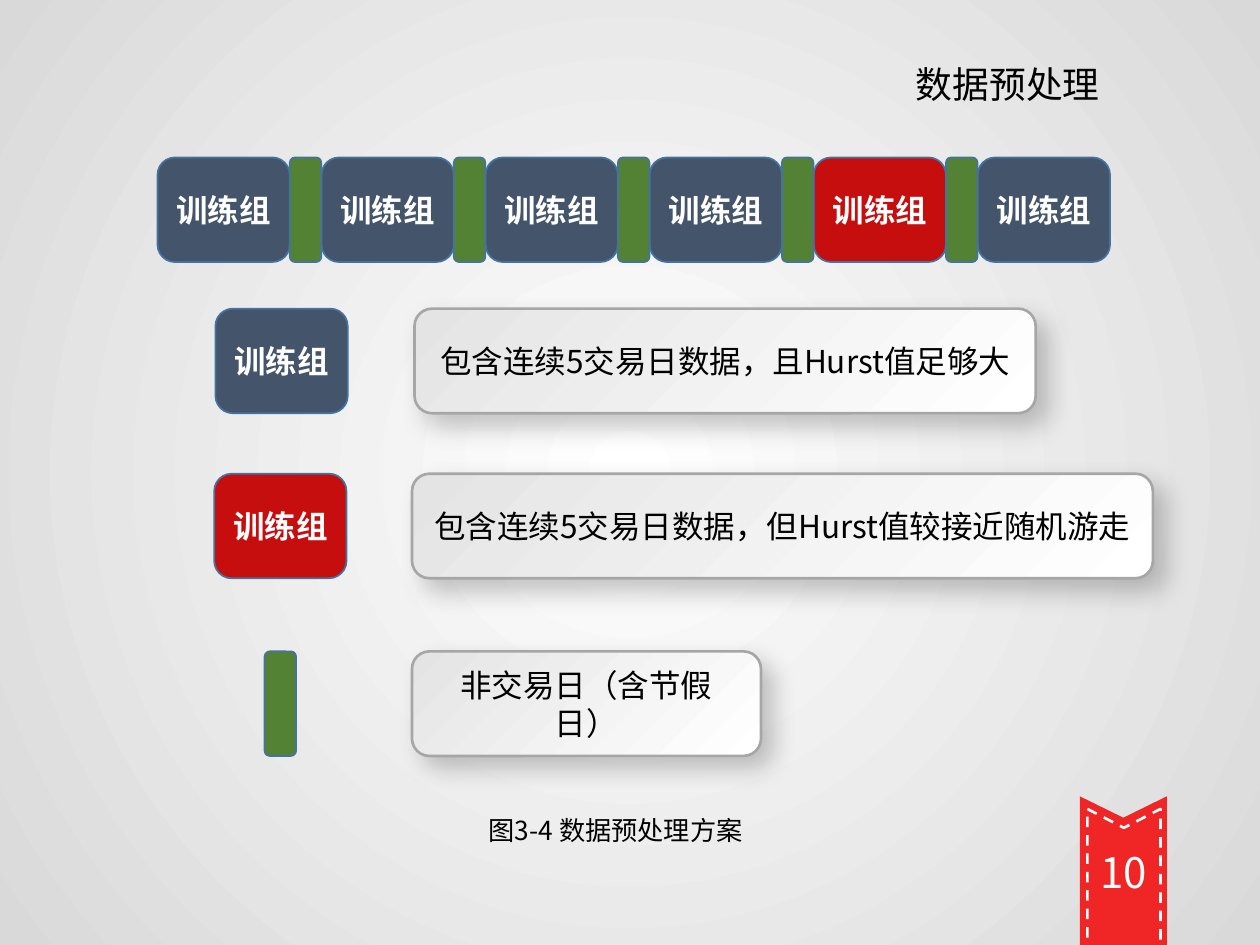
from dataclasses import dataclass

from lxml import etree
from pptx import Presentation
from pptx import util as u
from pptx.dml.color import RGBColor
from pptx.enum import dml, shapes, text
from pptx.oxml import parse_xml
from pptx.oxml.ns import nsdecls, qn

WIDE, HIGH = 10, 7.5
FONT = "Noto Sans CJK SC"
NAVY = RGBColor(0x44, 0x54, 0x6A)
RED = RGBColor(0xC6, 0x0E, 0x0E)
GREEN = RGBColor(0x54, 0x82, 0x35)
EDGE = RGBColor(0x43, 0x73, 0x9E)
GRAY = RGBColor(0xA6, 0xA6, 0xA6)
PALE = RGBColor(0xE4, 0xE4, 0xE4)
DIM = RGBColor(0xD9, 0xD9, 0xD9)
RIBBON = RGBColor(0xF0, 0x25, 0x25)
WHITE = RGBColor(0xFF, 0xFF, 0xFF)
BLACK = RGBColor(0, 0, 0)

# Timeline grid: each column holds one group and the break after it
LEFT, TOP, STEP = 1.25, 1.25, 1.302
GROUP, BREAK, TALL = 1.05, 0.25, 0.83
LABEL = "训练组"


@dataclass
class Row:
    """One legend line: a key block and its note."""
    top: float
    key_x: float
    key_w: float
    color: RGBColor
    label: str
    note_x: float
    note_w: float
    note: str


ROWS = [
    Row(2.45, 1.71, GROUP, NAVY, LABEL, 3.29, 4.93,
        "包含连续5交易日数据，且Hurst值足够大"),
    Row(3.76, 1.7, GROUP, RED, LABEL, 3.27, 5.88,
        "包含连续5交易日数据，但Hurst值较接近随机游走"),
    Row(5.17, 2.1, BREAK, GREEN, "", 3.27, 2.77, "非交易日（含节假日）"),
]


def write(shape, words: str, size: float, color: RGBColor,
          bold: bool = False, center: bool = True) -> None:
    frame = shape.text_frame
    frame.word_wrap = True
    frame.text = words
    para = frame.paragraphs[0]
    para.alignment = text.PP_ALIGN.CENTER if center else text.PP_ALIGN.LEFT
    for run in para.runs:
        font = run.font
        font.name, font.size, font.bold = FONT, u.Pt(size), bold
        font.color.rgb = color
        east = etree.SubElement(run._r.get_or_add_rPr(), qn("a:ea"))
        east.set("typeface", FONT)


def shade(fill, first: RGBColor, last: RGBColor) -> None:
    fill.gradient()
    for stop, color, place in zip(fill.gradient_stops, (first, last), (0, 1)):
        stop.color.rgb, stop.position = color, place


def block(slide, x: float, y: float, w: float, line: RGBColor, thick: float):
    shape = slide.shapes.add_shape(
        shapes.MSO_SHAPE.ROUNDED_RECTANGLE,
        u.Inches(x), u.Inches(y), u.Inches(w), u.Inches(TALL))
    shape.shadow.inherit = False
    shape.line.color.rgb, shape.line.width = line, u.Pt(thick)
    shape.text_frame.vertical_anchor = text.MSO_ANCHOR.MIDDLE
    return shape


def tile(slide, x: float, y: float, w: float, color: RGBColor,
         label: str = "") -> None:
    shape = block(slide, x, y, w, EDGE, 1)
    shape.fill.solid()
    shape.fill.fore_color.rgb = color
    if label:
        write(shape, label, 18, WHITE, bold=True)


def note(slide, x: float, y: float, w: float, words: str) -> None:
    shape = block(slide, x, y, w, GRAY, 1.5)
    shade(shape.fill, PALE, WHITE)
    shape.fill.gradient_angle = 315
    glow = shape._element.spPr.find(qn("a:effectLst"))
    glow.append(parse_xml(
        f'<a:outerShdw {nsdecls("a")} blurRad="{u.Pt(14)}" dist="{u.Pt(9)}" '
        'dir="2700000" algn="tl" rotWithShape="0"><a:srgbClr val="000000">'
        '<a:alpha val="22000"/></a:srgbClr></a:outerShdw>'))
    write(shape, words, 18, BLACK)


def caption(slide, x: float, y: float, w: float, h: float, words: str,
            size: float, color: RGBColor, center: bool = False) -> None:
    box = slide.shapes.add_textbox(
        u.Inches(x), u.Inches(y), u.Inches(w), u.Inches(h))
    write(box, words, size, color, center=center)


def banner(slide, x: float, y: float, w: float, h: float, notch: float):
    """Draw a ribbon outline with a V cut into its top edge."""
    pen = slide.shapes.build_freeform(u.Inches(x), u.Inches(y))
    spots = [(x + w / 2, y + notch), (x + w, y), (x + w, y + h), (x, y + h)]
    pen.add_line_segments([(u.Inches(a), u.Inches(b)) for a, b in spots])
    shape = pen.convert_to_shape()
    shape.shadow.inherit = False
    return shape


def ribbon(slide) -> None:
    body = banner(slide, 8.57, 6.32, 0.69, 2.62, 0.17)
    body.fill.solid()
    body.fill.fore_color.rgb = RIBBON
    body.line.fill.background()
    seam = banner(slide, 8.63, 6.42, 0.58, 2.45, 0.15)
    seam.fill.background()
    seam.line.color.rgb, seam.line.width = WHITE, u.Pt(1.5)
    seam.line.dash_style = dml.MSO_LINE.DASH


def backdrop(slide) -> None:
    """Fill the background with a gradient spreading from the centre."""
    shade(slide.background.fill, WHITE, DIM)
    line = next(slide._element.iter(qn("a:lin")))
    line.getparent().replace(line, parse_xml(
        f'<a:path {nsdecls("a")} path="circle"><a:fillToRect l="50000" '
        't="50000" r="50000" b="50000"/></a:path>'))


def main() -> None:
    deck = Presentation()
    deck.slide_width, deck.slide_height = u.Inches(WIDE), u.Inches(HIGH)
    slide = deck.slides.add_slide(deck.slide_layouts[6])
    backdrop(slide)
    ribbon(slide)
    caption(slide, 7.17, 0.44, 1.79, 0.45, "数据预处理", 21, BLACK)

    groups = [NAVY] * 4 + [RED, NAVY]
    for col, color in enumerate(groups):
        tile(slide, LEFT + col * STEP, TOP, GROUP, color, LABEL)
    for col in range(len(groups) - 1):
        tile(slide, LEFT + col * STEP + GROUP, TOP, BREAK, GREEN)

    for row in ROWS:
        tile(slide, row.key_x, row.top, row.key_w, row.color, row.label)
        note(slide, row.note_x, row.top, row.note_w, row.note)

    caption(slide, 3.78, 6.41, 2.36, 0.35, "图3-4 数据预处理方案", 15, BLACK)
    caption(slide, 8.6, 6.67, 0.64, 0.5, "10", 24, WHITE, center=True)
    deck.save("out.pptx")


if __name__ == "__main__":
    main()
